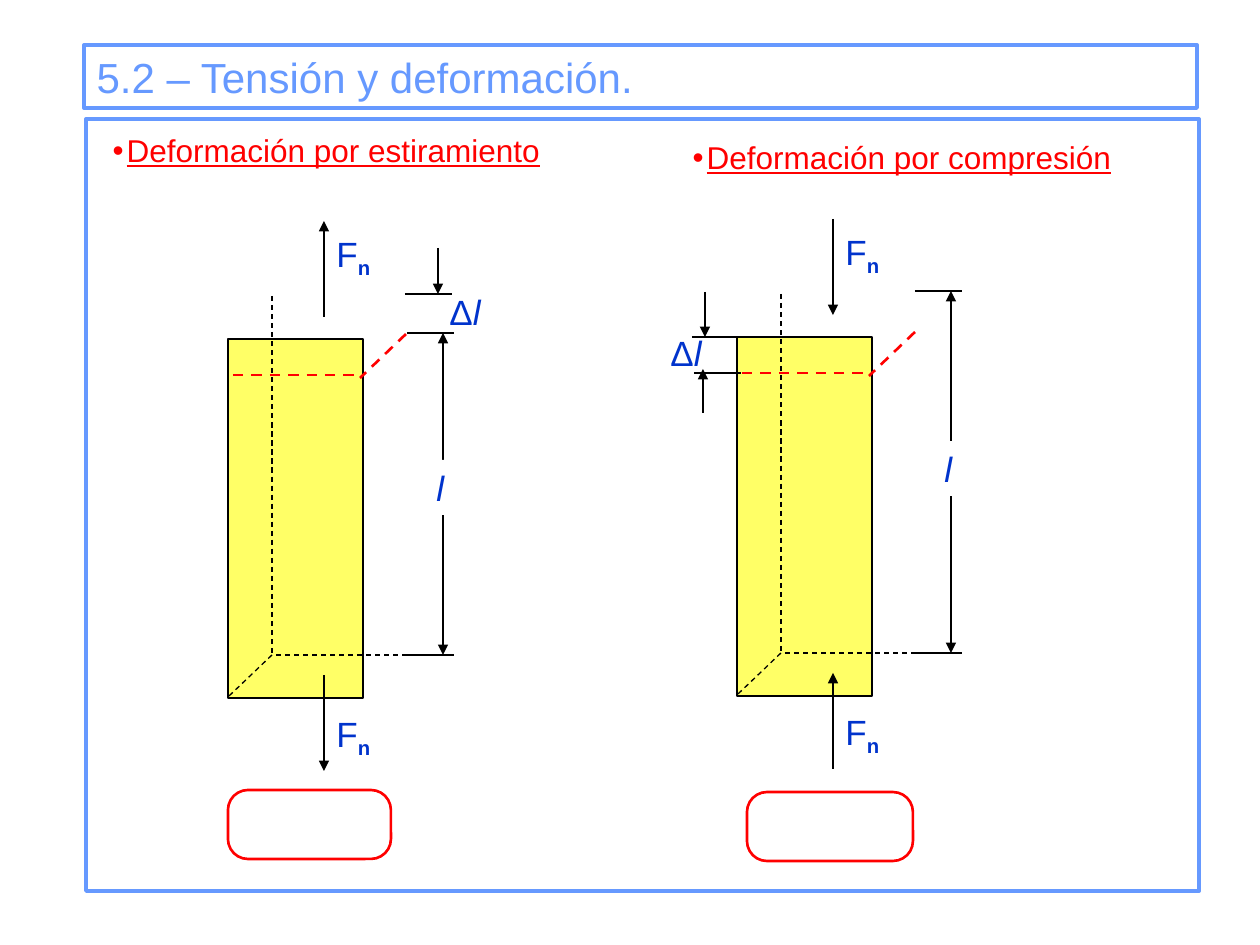
from lxml.etree import SubElement
from pptx import Presentation
from pptx.dml.color import RGBColor
from pptx.enum.dml import MSO_LINE
from pptx.enum.shapes import MSO_CONNECTOR, MSO_SHAPE
from pptx.enum.text import MSO_ANCHOR, MSO_AUTO_SIZE, PP_ALIGN
from pptx.oxml.ns import qn
from pptx.util import Emu, Pt

PX_PER_INCH = 126
FRAME_BLUE = "6699FF"
LABEL_BLUE = "0033CC"
RED = "FF0000"
YELLOW = "FFFF66"
WHITE = "FFFFFF"
BLACK = "000000"


def px(length):
    """Turn pixels into EMU."""
    return Emu(round(length * 914400 / PX_PER_INCH))


def rgb(color):
    """Turn a hex string into a colour."""
    return RGBColor.from_string(color)


class SlideBuilder:
    """Hold the style and the current slide."""

    font_name = "Arial"

    def __init__(self, slide):
        """Start on the given slide."""
        self.slide = slide

    def place(self, shape, left, top, width, height):
        """Move and size a shape."""
        shape.left, shape.top = px(left), px(top)
        shape.width, shape.height = px(width), px(height)

    def style_font(self, paragraph, size, color):
        """Set the common font of a paragraph."""
        paragraph.font.name = self.font_name
        paragraph.font.size = Pt(size)
        paragraph.font.color.rgb = rgb(color)

    def title(self, text, *area):
        """Fill the title placeholder and give it a border."""
        heading = self.slide.shapes.title
        self.place(heading, *area)
        heading.line.color.rgb = rgb(FRAME_BLUE)
        heading.line.width = Pt(2.25)
        heading.text_frame.text = text
        heading.text_frame.auto_size = MSO_AUTO_SIZE.NONE
        heading.text_frame.vertical_anchor = MSO_ANCHOR.MIDDLE
        paragraph = heading.text_frame.paragraphs[0]
        paragraph.alignment = PP_ALIGN.LEFT
        self.style_font(paragraph, 24, FRAME_BLUE)

    def bullet(self, index, text, *area):
        """Fill a body placeholder with one underlined bullet."""
        body = self.slide.placeholders[index]
        self.place(body, *area)
        body.text_frame.text = text
        body.text_frame.auto_size = MSO_AUTO_SIZE.NONE
        body.text_frame.word_wrap = False
        paragraph = body.text_frame.paragraphs[0]
        paragraph.space_before = Pt(0)
        properties = paragraph._p.get_or_add_pPr()
        properties.set("marL", str(px(14)))
        properties.set("indent", str(px(-14)))
        bullet_color = SubElement(properties, qn("a:buClr"))
        SubElement(bullet_color, qn("a:srgbClr"), val=RED)
        SubElement(properties, qn("a:buChar"), char="•")
        self.style_font(paragraph, 18, RED)
        paragraph.font.underline = True

    def box(self, area, fill=None, line=BLACK, weight=0.75, corner=None):
        """Draw a rectangle, rounded when a corner ratio is given."""
        kind = MSO_SHAPE.RECTANGLE if corner is None else MSO_SHAPE.ROUNDED_RECTANGLE
        shape = self.slide.shapes.add_shape(kind, *map(px, area))
        shape.shadow.inherit = False
        if corner is not None:
            shape.adjustments[0] = corner
        if fill:
            shape.fill.solid()
            shape.fill.fore_color.rgb = rgb(fill)
        else:
            shape.fill.background()
        shape.line.color.rgb = rgb(line)
        shape.line.width = Pt(weight)
        return shape

    def line(self, start, end, color=BLACK, weight=0.75, dashed=False, heads=()):
        """Draw a straight line with arrowheads at the named ends."""
        connector = self.slide.shapes.add_connector(
            MSO_CONNECTOR.STRAIGHT, *map(px, start), *map(px, end))
        connector.line.color.rgb = rgb(color)
        connector.line.width = Pt(weight)
        if dashed:
            connector.line.dash_style = MSO_LINE.DASH
        properties = connector.element.spPr
        for head in heads:
            SubElement(properties.find(qn("a:ln")), qn(f"a:{head}"), type="triangle")
        SubElement(properties, qn("a:effectLst"))

    def symbol(self, area, upright="", italic="", subscript="", fill=None):
        """Write a physical symbol."""
        label = self.slide.shapes.add_textbox(*map(px, area))
        if fill:
            label.fill.solid()
            label.fill.fore_color.rgb = rgb(fill)
        label.text_frame.word_wrap = False
        paragraph = label.text_frame.paragraphs[0]
        self.style_font(paragraph, 20, LABEL_BLUE)
        if upright:
            paragraph.add_run().text = upright
        if italic:
            run = paragraph.add_run()
            run.text = italic
            run.font.italic = True
        if subscript:
            run = paragraph.add_run()
            run.text = subscript
            run.font.bold = True
            run._r.get_or_add_rPr().set("baseline", "-25000")

    def force(self, x, inner, outer, label_top, stretched):
        """Draw a normal force that pulls or pushes one end of the bar."""
        start, end = (inner, outer) if stretched else (outer, inner)
        self.line((x, start), (x, end), weight=1.5, heads=["tailEnd"])
        self.symbol((x, label_top, 73, 60), upright="F", subscript="n")

    def bar(self, x, y, stretched):
        """Draw a loaded bar with its hidden edges and deformed section."""
        self.box((x, y, 135, 359), fill=YELLOW)
        self.line((x + 44, y - 43), (x + 44, y + 316), dashed=True)
        self.line((x + 48, y + 316), (x + 179, y + 316), dashed=True)
        self.line((x + 44, y + 316), (x, y + 358), dashed=True)
        self.force(x + 96, y - 22, y - 118, y - 113, stretched)
        self.force(x + 96, y + 336, y + 432, y + 367, stretched)
        self.line((x + 178, y - 5), (x + 132, y + 39), RED, 1.5, dashed=True)
        self.line((x + 5, y + 36), (x + 136, y + 36), RED, 1.5, dashed=True)

    def tick(self, x, y):
        """Draw a short extension line."""
        self.line((x, y), (x + 47, y))

    def length_dimension(self, x, top, bottom, label_top):
        """Mark the initial length of a bar."""
        self.tick(x, top)
        self.tick(x, bottom)
        self.line((x + 36, top), (x + 36, bottom), heads=["headEnd", "tailEnd"])
        self.symbol((x + 17, label_top, 45, 55), italic="l", fill=WHITE)

    def change_arrow(self, x, start, end):
        """Point at one limit of the change in length."""
        self.line((x, start), (x, end), heads=["tailEnd"])


def main():
    """Build the slide."""
    presentation = Presentation()
    presentation.slide_width, presentation.slide_height = px(1260), px(945)
    slide = presentation.slides.add_slide(presentation.slide_layouts[3])
    builder = SlideBuilder(slide)

    builder.title("5.2 – Tensión y deformación.", 84, 45, 1113, 63)
    frame = builder.box((86, 119, 1113, 772), WHITE, FRAME_BLUE, 2.25)
    slide.shapes.title.element.addnext(frame.element)
    builder.bullet(1, "Deformación por estiramiento", 100, 125, 460, 50)
    builder.bullet(2, "Deformación por compresión", 680, 132, 446, 50)

    builder.bar(228, 339, stretched=True)
    builder.length_dimension(407, 333, 655, 460)
    builder.tick(405, 294)
    builder.change_arrow(438, 248, 294)
    builder.symbol((437, 284, 59, 55), upright="Δ", italic="l")

    builder.bar(737, 337, stretched=False)
    builder.length_dimension(915, 291, 653, 441)
    builder.tick(692, 337)
    builder.tick(694, 373)
    builder.change_arrow(705, 292, 337)
    builder.change_arrow(703, 413, 369)
    builder.symbol((658, 325, 59, 55), upright="Δ", italic="l")

    for formula_area in ((228, 790, 163, 69), (747, 792, 166, 69)):
        builder.box(formula_area, line=RED, weight=1.5, corner=0.29)

    presentation.save("out.pptx")


if __name__ == "__main__":
    main()
